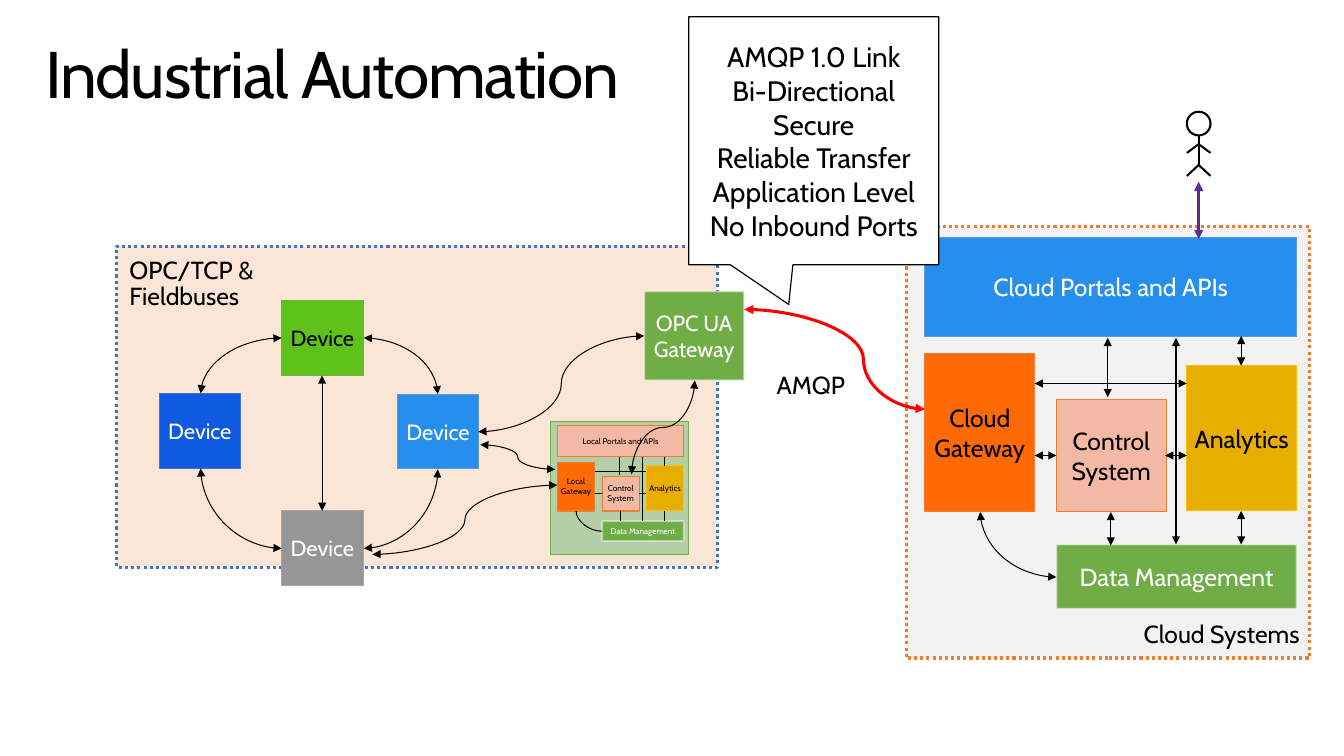
import pptx
import pptx.dml.color
import pptx.enum.dml
import pptx.enum.shapes
import pptx.enum.text
import pptx.oxml.ns
import pptx.util
import lxml.etree

Pt = pptx.util.Pt
qn = pptx.oxml.ns.qn
KIND = pptx.enum.shapes.MSO_SHAPE
LINK = pptx.enum.shapes.MSO_CONNECTOR
ALIGN = pptx.enum.text.PP_ALIGN
ANCHOR = pptx.enum.text.MSO_ANCHOR

THEME = {
    "font": "Cabin",
    "size": {"title": 48, "call": 20.4, "main": 18, "node": 16, "mini": 6},
    "ink": "000000", "paper": "FFFFFF", "alert": "FF0000", "user": "5C2D91",
    # fill, outline, text
    "navy": ("0F5AE0", "4472C4", "FFFFFF"),
    "gray": ("969696", "A5A5A5", "FFFFFF"),
    "lime": ("5EC21B", "70AD47", "000000"),
    "blue": ("268FEE", "5B9BD5", "FFFFFF"),
    "green": ("70AD47", "F9F9F9", "FFFFFF"),
    "orange": ("FF6A05", "ED7D31", "000000"),
    "pink": ("F3B9A4", "ED7D31", "000000"),
    "gold": ("E7AE00", "FFC000", "000000"),
    "field": ("FBE5D6", "4472C4", "000000"),
    "cloud": ("F2F2F2", "ED7D31", "000000"),
    "local": ("B4CFA8", "70AD47", "000000"),
    "call": ("FFFFFF", "000000", "000000"),
}

TITLE = "Industrial Automation"
CALL = [["AMQP 1.0 Link", "Bi-Directional", "Secure"],
        ["Reliable Transfer", "Application Level"],
        ["No Inbound Ports"]]
NOTES = [(["AMQP"], (551.5, 262.1, 81.4, 43.2)),
         (["OPC/TCP &", "Fieldbuses"], (79.9, 176.4, 121, 62.6))]
DEVICE = (59.4, 54.4)
DEVICES = [("navy", 115.9, 286.6), ("gray", 205.2, 372.2),
           ("lime", 205.2, 218.9), ("blue", 289.4, 287.3)]

# One system, in points from its top left corner; drawn in full and in small.
PARTS = [("{} Gateway", "orange", (0, 85, 79.9, 115.2)),
         ("{} Portals and APIs", "{}", (0, 0, 270.7, 72.7)),
         ("Control System", "pink", (95.8, 118.1, 79.9, 82.1)),
         ("Analytics", "gold", (190.8, 93.6, 79.9, 105.8)),
         ("Data Management", "green", (95.8, 223.9, 175, 46.8))]
WIRES = [(79.9, 106.6, 190.8, 106.6), (175, 159.1, 190.8, 159.1),
         (79.9, 159.1, 95.8, 159.1), (135.4, 200.2, 135.4, 224.6),
         (230.4, 199.4, 230.4, 223.9), (133.2, 73.4, 133.2, 116.6),
         (230.4, 72, 230.4, 93.6), (182.9, 73.4, 182.9, 223.9)]
BEND = (95.8, 247.7, 40.3, 200.2)

# Quarter bends leave the first point sideways and reach the second upright.
RING = [(205.2, 246.2, 146.2, 286.6), (205.2, 399.6, 146.2, 341.3),
        (265, 399.6, 319, 342), (265, 246.2, 319, 287.3)]
WAVES = [(348.5, 314.6, 469.4, 244.8), (271.4, 403.9, 406.1, 353.5),
         (349.9, 324, 404.6, 342)]
HEAD = (864.7, 81.4, 17.3, 17.3)
LIMBS = [(98.6, 120.2, 0), (120.2, 128.2, -8.6), (120.2, 128.2, 8.6),
         (105.1, 111.4, -8.6), (105.1, 111.4, 8.6)]


def rgb(code):
    return pptx.dml.color.RGBColor.from_string(code)


def write(frame, paras, size, color, align=None, pad=(0, 0), anchor=ANCHOR.TOP):
    """Fill a frame; each paragraph is a list of lines."""
    frame.margin_left = frame.margin_right = Pt(pad[0])
    frame.margin_top = frame.margin_bottom = Pt(pad[1])
    frame.vertical_anchor = anchor
    for i, lines in enumerate(paras):
        para = frame.paragraphs[0] if i == 0 else frame.add_paragraph()
        para.alignment = align
        for j, line in enumerate(lines):
            if j:
                para.add_line_break()
            run = para.add_run()
            run.text = line
            run.font.name = THEME["font"]
            run.font.size = Pt(THEME["size"][size])
            run.font.color.rgb = rgb(color)
    return frame


def block(shapes, look, rect, paras=(), size="main", width=0.75, kind=KIND.RECTANGLE,
          align=ALIGN.CENTER, pad=(0, 0), anchor=ANCHOR.MIDDLE, dots=False):
    fill, edge, ink = THEME[look]
    shape = shapes.add_shape(kind, *map(Pt, rect))
    shape.shadow.inherit = False
    shape.fill.solid()
    shape.fill.fore_color.rgb = rgb(fill)
    shape.line.color.rgb = rgb(edge)
    shape.line.width = Pt(1.35 if look == "green" else width)
    if dots:
        shape.line.dash_style = pptx.enum.dml.MSO_LINE.ROUND_DOT
    if look == "green":
        tint = shape.element.spPr.find(qn("a:ln")).find(".//" + qn("a:srgbClr"))
        lxml.etree.SubElement(tint, qn("a:alpha"), val="50000")
    if paras:
        write(shape.text_frame, paras, size, ink, align, pad, anchor)
    return shape


def wire(shapes, ends, form=None, color=THEME["ink"], width=0.75, arrows=True, mid=0.5):
    """Join two points: straight (None), "bend", "wave" or upright "rise"."""
    x1, y1, x2, y2 = ends
    if form == "rise":
        cx, cy, dx, dy = (x1 + x2) / 2, (y1 + y2) / 2, (x1 - x2) / 2, (y1 - y2) / 2
        x1, y1, x2, y2 = cx + dy, cy - dx, cx - dy, cy + dx
    link = shapes.add_connector(LINK.CURVE if form else LINK.STRAIGHT,
                                *map(Pt, (x1, y1, x2, y2)))
    link.line.color.rgb = rgb(color)
    link.line.width = Pt(width)
    props = link.element.spPr
    lxml.etree.SubElement(props, qn("a:effectLst"))
    if arrows:
        for tip in ("a:headEnd", "a:tailEnd"):
            lxml.etree.SubElement(props.find(qn("a:ln")), qn(tip), type="triangle")
    shape = props.find(qn("a:prstGeom"))
    if form == "bend":
        shape.set("prst", "curvedConnector2")
    elif form:
        lxml.etree.SubElement(shape.find(qn("a:avLst")), qn("a:gd"),
                              name="adj1", fmla=f"val {round(mid * 100000)}")
    if form == "rise":
        props.find(qn("a:xfrm")).set("rot", "5400000")


def system(shapes, name, tone, left, top, sx, sy, size, arrows):
    def fit(box, x=0, y=0):
        a, b, c, d = box
        return x + a * sx, y + b * sy, c * sx, d * sy

    def span(ends):
        a, b, c, d = fit(ends)
        return left + a, top + b, left + c, top + d

    for label, look, box in PARTS:
        block(shapes, look.format(tone), fit(box, left, top),
              [[label.format(name)]], size)
    for ends in WIRES:
        wire(shapes, span(ends), arrows=arrows)
    wire(shapes, span(BEND), "bend", arrows=arrows)


def label(shapes, lines, rect, size, pad, wrap):
    box = shapes.add_textbox(*map(Pt, rect))
    frame = write(box.text_frame, [lines], size, THEME["ink"], ALIGN.LEFT, pad)
    frame.word_wrap = wrap
    frame.paragraphs[0].line_spacing = 0.9
    return frame


def main():
    deck = pptx.Presentation()
    deck.slide_width, deck.slide_height = Pt(979.2), Pt(550.8)
    shapes = deck.slides.add_slide(deck.slide_layouts[6]).shapes

    block(shapes, "field", (85, 179.3, 437.8, 234), width=2.25, dots=True)
    title = label(shapes, [TITLE], (21.6, 23, 936, 72), "title", (11.5, 7.2), True)
    title.paragraphs[0].runs[0].font._element.set("spc", "-100")

    for look, x, y in DEVICES:
        block(shapes, look, (x, y, *DEVICE), [["Device"]], "node")
    for ends in RING:
        wire(shapes, ends, "bend")
    wire(shapes, (234.7, 273.6, 234.7, 372.2))
    block(shapes, "green", (469.4, 212.4, 72.7, 64.8), [["OPC UA Gateway"]], "node")

    block(shapes, "cloud", (660.2, 164.9, 293.8, 314.6), [["Cloud Systems"]],
          width=2.25, align=ALIGN.RIGHT, pad=(7.2, 7.2), anchor=ANCHOR.BOTTOM, dots=True)
    system(shapes, "Cloud", "blue", 673.9, 172.8, 1, 1, "main", True)
    wire(shapes, (542.2, 225.4, 673.9, 298.1), "wave", THEME["alert"], 2.25, mid=0.66)

    user = shapes.add_group_shape().shapes
    head = block(user, "call", HEAD, width=1.5, kind=KIND.OVAL)
    head.fill.background()
    mid = HEAD[0] + HEAD[2] / 2
    for y1, y2, dx in LIMBS:
        wire(user, (mid, y1, mid + dx, y2), width=1.5, arrows=False)
    wire(shapes, (mid, 132.5, mid, 174.2), color=THEME["user"], width=2.25)

    local = shapes.add_group_shape().shapes
    block(local, "local", (401, 307.4, 100.8, 96.5))
    system(local, "Local", "pink", 406.1, 310.3, 0.34, 0.31, "mini", False)
    for ends in WAVES:
        wire(shapes, ends, "wave")
    wire(shapes, (460.1, 345.6, 506.2, 277.2), "rise")

    for lines, rect in NOTES:
        frame = label(shapes, lines, rect, "main", (14.4, 11.5), False)
        frame.auto_size = pptx.enum.text.MSO_AUTO_SIZE.SHAPE_TO_FIT_TEXT
        frame.paragraphs[0].space_after = Pt(6)
    call = block(shapes, "call", (501.8, 12.2, 182.2, 180.7), CALL, "call", 0.85,
                 KIND.RECTANGULAR_CALLOUT)
    call.adjustments[0], call.adjustments[1] = -0.1, 0.66
    deck.save("out.pptx")


if __name__ == "__main__":
    main()
